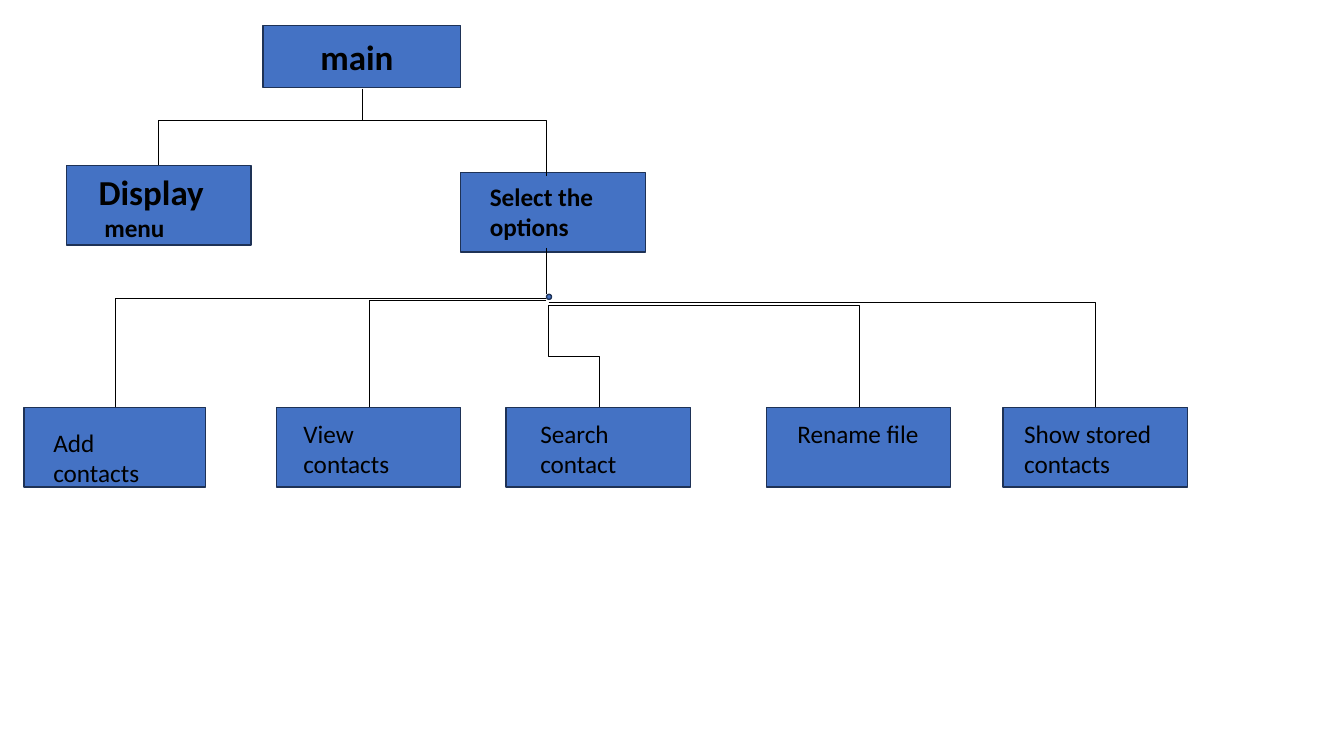
"""Build a slide with the call tree of a contacts program."""
from dataclasses import dataclass

from lxml.etree import SubElement
from pptx import Presentation
from pptx.dml.color import RGBColor
from pptx.enum.shapes import MSO_CONNECTOR as Wire, MSO_SHAPE as Form
from pptx.oxml.ns import qn
from pptx.util import Inches, Pt

BLUE = RGBColor(0x44, 0x72, 0xC4)
NAVY = RGBColor(0x1E, 0x32, 0x56)
BLACK = RGBColor(0, 0, 0)
PLAIN = {"name": "Calibri", "size": Pt(18), "bold": False}
BOLD = PLAIN | {"bold": True}
HEAD = BOLD | {"size": Pt(25)}
WIDE, HIGH, ROW = 1.83, 0.79, 4.04
STEM, HUB = 5.42, 5.44
BAR = 1.19


@dataclass
class Node:
    """A box and its label, placed apart from each other."""
    box: tuple
    label: tuple
    lines: list


@dataclass
class Link:
    """A line that runs from one point to another."""
    start: tuple
    end: tuple
    kind: str = "bentConnector2"


def leaf(left: float, label: tuple, text: str, wide: float = WIDE) -> Node:
    """Make a node of the bottom row."""
    return Node((left, ROW, wide, HIGH), label, [(text, PLAIN)])


NODES = [
    Node((2.61, 0.25, 1.96, 0.62), (3.08, 0.3, 1.26, 0.52), [("main", HEAD)]),
    Node((0.66, 1.64, WIDE, HIGH), (0.88, 1.64, 1.39, 0.82),
         [("Display", HEAD), (" menu", BOLD)]),
    Node((4.57, 1.71, WIDE, HIGH), (4.76, 1.75, 1.32, 0.71),
         [("Select the options", BOLD)]),
    leaf(0.24, (0.43, 4.19, 1.45, 0.71), "Add contacts", 1.8),
    leaf(2.74, (2.91, 4.1, 1.49, 0.71), "View contacts"),
    leaf(5.02, (5.26, 4.1, 1.41, 0.71), "Search contact"),
    leaf(7.6, (7.81, 4.1, 1.5, 0.4), "Rename file"),
    leaf(9.95, (10.06, 4.1, 2.23, 0.71), "Show stored contacts"),
]
LINKS = [
    Link((3.59, 0.88), (3.59, BAR), "line"),
    Link((3.65, BAR), (STEM, 1.75)),
    Link((3.71, BAR), (1.57, 1.64)),
    Link((STEM, 2.46), (STEM, 2.92), "line"),
    Link((STEM, 2.96), (1.14, ROW)),
    Link((STEM, 2.98), (3.66, ROW)),
    Link((HUB, 3), (10.86, ROW)),
    Link((HUB, 3.03), (8.52, ROW)),
    Link((HUB, 3.03), (5.94, ROW), "bentConnector3"),
]


def draw_shape(slide, form: Form, area: tuple) -> None:
    """Draw a blue shape with a navy edge."""
    shape = slide.shapes.add_shape(form, *map(Inches, area))
    shape.shadow.inherit = False
    shape.fill.solid()
    shape.fill.fore_color.rgb = BLUE
    shape.line.color.rgb = NAVY
    shape.line.width = Pt(1)


def draw_label(slide, node: Node) -> None:
    """Write the lines of a node."""
    frame = slide.shapes.add_textbox(*map(Inches, node.label)).text_frame
    frame.word_wrap = True
    for spot, (text, style) in enumerate(node.lines):
        para = frame.add_paragraph() if spot else frame.paragraphs[0]
        run = para.add_run()
        run.text = text
        run.font.color.rgb = BLACK
        for name, value in style.items():
            setattr(run.font, name, value)


def draw_link(slide, link: Link) -> None:
    """Draw a straight or bent line, turned to leave its start the right way."""
    (x, y), (to_x, to_y) = link.start, link.end
    left, wide, high = min(x, to_x), abs(to_x - x), to_y - y
    turn = {}
    if link.kind == "bentConnector3":
        left, y = left + (wide - high) / 2, y + (high - wide) / 2
        wide, high = high, wide
        turn = {"rot": "16200000", "flipH": "1"}
    elif to_x < x:
        turn = {"rot": "10800000", "flipV": "1"}
    kind = Wire.STRAIGHT if link.kind == "line" else Wire.ELBOW
    ends = map(Inches, (left, y, left + wide, y + high))
    wire = slide.shapes.add_connector(kind, *ends)
    wire.line.color.rgb = BLACK
    wire.line.width = Pt(0.5)
    props = wire._element.spPr
    props.find(qn("a:prstGeom")).set("prst", link.kind)
    for name, value in turn.items():
        props.find(qn("a:xfrm")).set(name, value)
    SubElement(props, qn("a:effectLst"))


def main() -> None:
    """Build and save the deck."""
    deck = Presentation()
    deck.slide_width, deck.slide_height = Inches(13.33), Inches(7.5)
    slide = deck.slides.add_slide(deck.slide_layouts[6])
    for node in NODES:
        draw_shape(slide, Form.RECTANGLE, node.box)
        draw_label(slide, node)
    for link in LINKS:
        draw_link(slide, link)
    draw_shape(slide, Form.OVAL, (STEM, 2.92, 0.05, 0.05))
    deck.save("out.pptx")


main()
